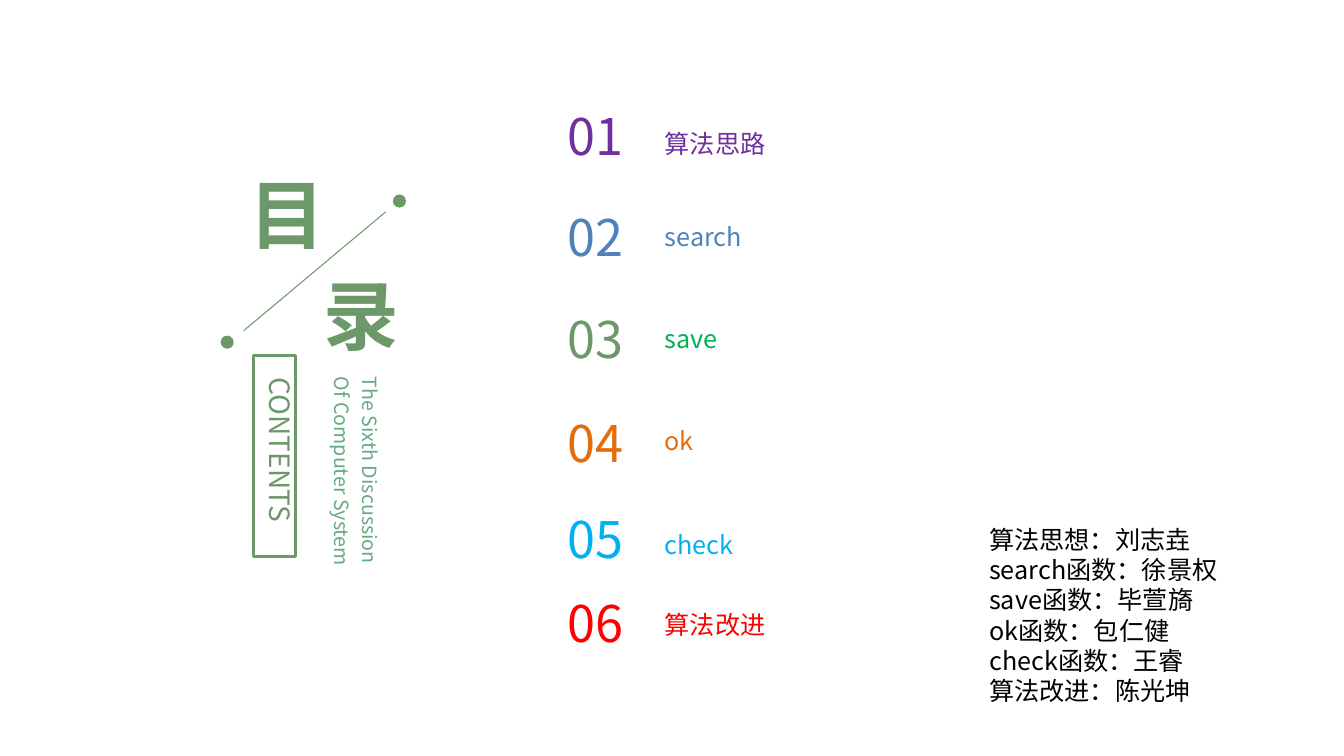
from dataclasses import dataclass

from lxml.etree import SubElement
from pptx import Presentation
from pptx.dml.color import RGBColor
from pptx.enum.shapes import MSO_CONNECTOR, MSO_SHAPE
from pptx.enum.text import MSO_AUTO_SIZE, PP_ALIGN
from pptx.oxml.ns import qn
from pptx.slide import Slide
from pptx.util import Inches, Pt

FONT = "Noto Sans CJK SC"
GREEN = "6D986A"


@dataclass
class Line:
    text: str
    align: PP_ALIGN = PP_ALIGN.LEFT


@dataclass
class Label:
    left: float
    top: float
    width: float
    height: float
    lines: list[Line]
    size: float
    color: str
    bold: bool = False
    spacing: float = 1.0
    vertical: bool = False
    wrap: bool = True
    grow: bool = True


@dataclass
class Chapter:
    number_top: float
    title_top: float
    title: str
    color: str
    title_color: str
    title_width: float = 4.73
    title_height: float = 0.55


def rgb(color: str) -> RGBColor:
    return RGBColor.from_string(color)


def draw_label(slide: Slide, label: Label) -> None:
    box = slide.shapes.add_textbox(
        Inches(label.left), Inches(label.top), Inches(label.width), Inches(label.height)
    )
    frame = box.text_frame
    frame.word_wrap = label.wrap
    frame.auto_size = MSO_AUTO_SIZE.SHAPE_TO_FIT_TEXT if label.grow else MSO_AUTO_SIZE.NONE
    if label.vertical:
        box._element.txBody.find(qn("a:bodyPr")).set("vert", "eaVert")
    for index, line in enumerate(label.lines):
        paragraph = frame.add_paragraph() if index else frame.paragraphs[0]
        paragraph.alignment = line.align
        paragraph.line_spacing = label.spacing
        run = paragraph.add_run()
        run.text = line.text
        run.font.size = Pt(label.size)
        run.font.bold = label.bold
        run.font.color.rgb = rgb(label.color)
        run.font.name = FONT
        SubElement(run._r.get_or_add_rPr(), qn("a:ea")).set("typeface", FONT)


def draw_dot(slide: Slide, left: float, top: float) -> None:
    dot = slide.shapes.add_shape(
        MSO_SHAPE.OVAL, Inches(left), Inches(top), Inches(0.13), Inches(0.13)
    )
    dot.shadow.inherit = False
    dot.fill.solid()
    dot.fill.fore_color.rgb = rgb(GREEN)
    dot.line.fill.background()


def draw_slash(slide: Slide) -> None:
    slash = slide.shapes.add_connector(
        MSO_CONNECTOR.STRAIGHT, Inches(3.83), Inches(2.1), Inches(2.42), Inches(3.28)
    )
    slash.line.color.rgb = rgb(GREEN)
    slash.line.width = Pt(0.75)
    SubElement(slash._element.spPr, qn("a:effectLst"))


def draw_contents_frame(slide: Slide) -> None:
    contents_frame = slide.shapes.add_shape(
        MSO_SHAPE.RECTANGLE, Inches(2.52), Inches(3.53), Inches(0.41), Inches(1.99)
    )
    contents_frame.shadow.inherit = False
    contents_frame.fill.background()
    contents_frame.line.color.rgb = rgb(GREEN)
    contents_frame.line.width = Pt(2)


def draw_chapter(slide: Slide, number: int, chapter: Chapter) -> None:
    draw_label(slide, Label(5.36, chapter.number_top, 0.93, 0.71,
                            [Line(f"{number:02}", PP_ALIGN.RIGHT)], 36, chapter.color))
    draw_label(slide, Label(6.5, chapter.title_top, chapter.title_width, chapter.title_height,
                            [Line(chapter.title)], 18, chapter.title_color, spacing=1.5))


HEADINGS = [
    Label(2.32, 1.62, 1.06, 1.01, [Line("目", PP_ALIGN.CENTER)], 54, GREEN, bold=True),
    Label(3.06, 2.62, 1.06, 1.01, [Line("录", PP_ALIGN.CENTER)], 54, GREEN, bold=True),
    Label(2.46, 3.65, 0.54, 1.74, [Line("CONTENTS", PP_ALIGN.CENTER)], 20, GREEN, vertical=True),
    Label(3.13, 3.64, 0.76, 2.52,
          [Line("The Sixth Discussion"), Line("Of Computer System", PP_ALIGN.RIGHT)],
          14, "65AA81", spacing=1.2, vertical=True, wrap=False),
]

CHAPTERS = [
    Chapter(0.99, 1.07, "算法思路", "7030A0", "7030A0", title_height=0.86),
    Chapter(2.0, 2.0, "search", "4F81BD", "4F81BD"),
    Chapter(3.01, 3.01, "save", GREEN, "00B050"),
    Chapter(4.04, 4.02, "ok", "E46C0A", "E46C0A"),
    Chapter(4.99, 5.05, "check", "00B0F0", "00B0F0", title_width=1.9),
    Chapter(5.82, 5.85, "算法改进", "FF0000", "FF0000", title_height=0.86),
]

AUTHORS = [
    "算法思想：刘志垚",
    "search函数：徐景权",
    "save函数：毕萱旖",
    "ok函数：包仁健",
    "check函数：王睿",
    "算法改进：陈光坤",
]


def main() -> None:
    presentation = Presentation()
    presentation.slide_width = Inches(13.34)
    presentation.slide_height = Inches(7.5)
    slide = presentation.slides.add_slide(presentation.slide_layouts[6])

    draw_slash(slide)
    draw_dot(slide, 3.9, 1.93)
    draw_dot(slide, 2.19, 3.33)
    draw_contents_frame(slide)
    for heading in HEADINGS:
        draw_label(slide, heading)
    for number, chapter in enumerate(CHAPTERS, start=1):
        draw_chapter(slide, number, chapter)
    draw_label(slide, Label(9.72, 5.15, 3.62, 1.62, [Line(author) for author in AUTHORS],
                            18, "000000", grow=False))

    presentation.save("out.pptx")


if __name__ == "__main__":
    main()
